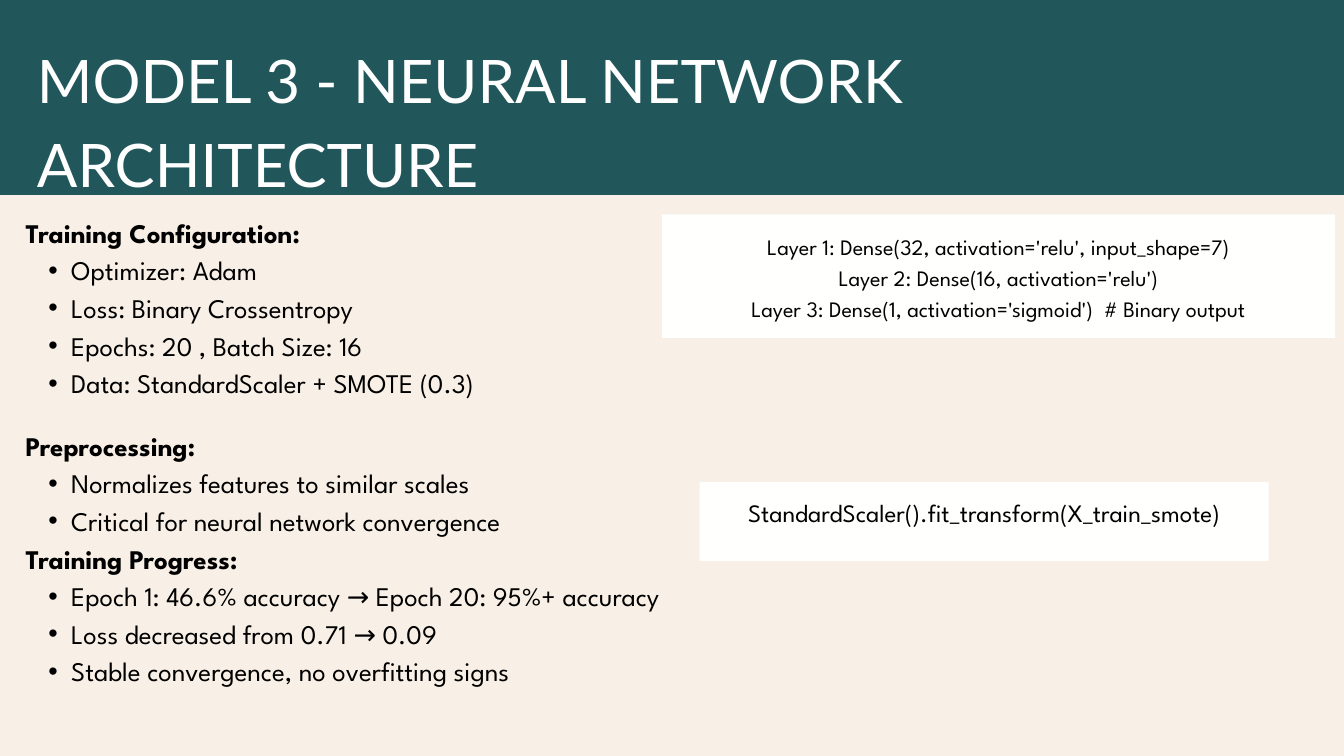
from dataclasses import dataclass

from lxml.etree import SubElement
from pptx import Presentation
from pptx.dml.color import RGBColor
from pptx.enum.shapes import MSO_SHAPE
from pptx.enum.text import MSO_ANCHOR, MSO_AUTO_SIZE, PP_ALIGN
from pptx.oxml.ns import qn
from pptx.util import Inches, Pt


@dataclass(frozen=True)
class TextStyle:
    font: str
    size: float
    leading: float
    color: str = "000000"
    align: PP_ALIGN = PP_ALIGN.LEFT


@dataclass(frozen=True)
class Theme:
    background: str = "F8F0E6"
    band: str = "21575B"
    panel: str = "FFFFFE"
    title: TextStyle = TextStyle("Lato", 64.3, 90, "FFFFFF")
    body: TextStyle = TextStyle("League Spartan", 28.8, 40.3)
    layers: TextStyle = TextStyle("League Spartan", 23.6, 33.1, align=PP_ALIGN.CENTER)
    scaler: TextStyle = TextStyle("League Spartan", 26.8, 37.5, align=PP_ALIGN.CENTER)


THEME = Theme()

TRAINING_SETUP = [
    ("Training Configuration:", [
        "Optimizer: Adam",
        "Loss: Binary Crossentropy",
        "Epochs: 20 , Batch Size: 16",
        "Data: StandardScaler + SMOTE (0.3)",
    ]),
]
TRAINING_RESULTS = [
    ("Preprocessing:", [
        "Normalizes features to similar scales",
        "Critical for neural network convergence",
    ]),
    ("Training Progress:", [
        "Epoch 1: 46.6% accuracy → Epoch 20: 95%+ accuracy",
        "Loss decreased from 0.71 → 0.09",
        "Stable convergence, no overfitting signs",
    ]),
]
LAYERS = [
    "Layer 1: Dense(32, activation='relu', input_shape=7)",
    "Layer 2: Dense(16, activation='relu')",
    "Layer 3: Dense(1, activation='sigmoid')  # Binary output",
]
SCALER = ["StandardScaler().fit_transform(X_train_smote)"]


def place(box, left, top, width, height):
    box.left, box.top = Inches(left), Inches(top)
    box.width, box.height = Inches(width), Inches(height)


def prepare_frame(box):
    """Remove the margins and fix the text at the top of the box."""
    frame = box.text_frame
    frame.word_wrap = True
    frame.auto_size = MSO_AUTO_SIZE.NONE
    frame.vertical_anchor = MSO_ANCHOR.TOP
    frame.margin_left = frame.margin_top = frame.margin_right = frame.margin_bottom = 0
    return frame


def set_bullet(para, character):
    """Give the paragraph a hanging bullet, or none if there is no character."""
    properties = para._p.get_or_add_pPr()
    left, hanging = (0.68, -0.34) if character else (0, 0)
    properties.set("marL", str(Inches(left)))
    properties.set("indent", str(Inches(hanging)))
    if character:
        SubElement(properties, qn("a:buFont"), typeface="Arial")
        SubElement(properties, qn("a:buChar"), char=character)
    else:
        SubElement(properties, qn("a:buNone"))


def format_paragraph(para, style, bold=False):
    para.alignment = style.align
    para.line_spacing = Pt(style.leading)
    para.space_before = Pt(0)
    para.font.name = style.font
    para.font.size = Pt(style.size)
    para.font.bold = bold
    para.font.color.rgb = RGBColor.from_string(style.color)


def write_lines(box, lines, style):
    frame = prepare_frame(box)
    for index, line in enumerate(lines):
        para = frame.add_paragraph() if index else frame.paragraphs[0]
        para.text = line
        format_paragraph(para, style)


def write_sections(box, sections):
    """Write bold headings, each followed by its bulleted items."""
    frame = prepare_frame(box)
    rows = [(text, level) for heading, items in sections
            for text, level in [(heading, 0), *((item, 1) for item in items)]]
    for index, (text, level) in enumerate(rows):
        para = frame.add_paragraph() if index else frame.paragraphs[0]
        para.text = text
        para.level = level
        set_bullet(para, "•" if level else None)
        format_paragraph(para, THEME.body, bold=level == 0)


def add_panel(page, kind, color, left, top, width, height):
    panel = page.shapes.add_shape(
        kind, Inches(left), Inches(top), Inches(width), Inches(height))
    panel.shadow.inherit = False
    panel.fill.solid()
    panel.fill.fore_color.rgb = RGBColor.from_string(color)
    panel.line.fill.background()
    return panel


def add_code(page, lines, style, left, top, width, height):
    box = page.shapes.add_textbox(
        Inches(left), Inches(top), Inches(width), Inches(height))
    write_lines(box, lines, style)


def main():
    deck = Presentation()
    deck.slide_width, deck.slide_height = Inches(20), Inches(11.25)
    page = deck.slides.add_slide(deck.slide_layouts.get_by_name("Two Content"))
    page.background.fill.solid()
    page.background.fill.fore_color.rgb = RGBColor.from_string(THEME.background)
    title, setup, results = page.placeholders

    band = add_panel(page, MSO_SHAPE.ROUNDED_RECTANGLE, THEME.band,
                     -0.37, -0.22, 20.77, 3.12)
    band.adjustments[0] = 0.03
    title._element.addprevious(band._element)

    place(title, 0.55, 0.47, 18.86, 1.19)
    write_lines(title, ["MODEL 3 - NEURAL NETWORK ARCHITECTURE"], THEME.title)
    place(setup, 0.38, 3.14, 9.46, 3.3)
    write_sections(setup, TRAINING_SETUP)
    place(results, 0.38, 6.31, 9.46, 4.94)
    write_sections(results, TRAINING_RESULTS)

    add_panel(page, MSO_SHAPE.RECTANGLE, THEME.panel, 9.85, 3.19, 10.02, 1.84)
    add_code(page, LAYERS, THEME.layers, 10.13, 3.41, 9.46, 1.35)
    add_panel(page, MSO_SHAPE.RECTANGLE, THEME.panel, 10.41, 7.17, 8.47, 1.18)
    add_code(page, SCALER, THEME.scaler, 9.29, 7.33, 10.71, 0.49)

    deck.save("out.pptx")


if __name__ == "__main__":
    main()
